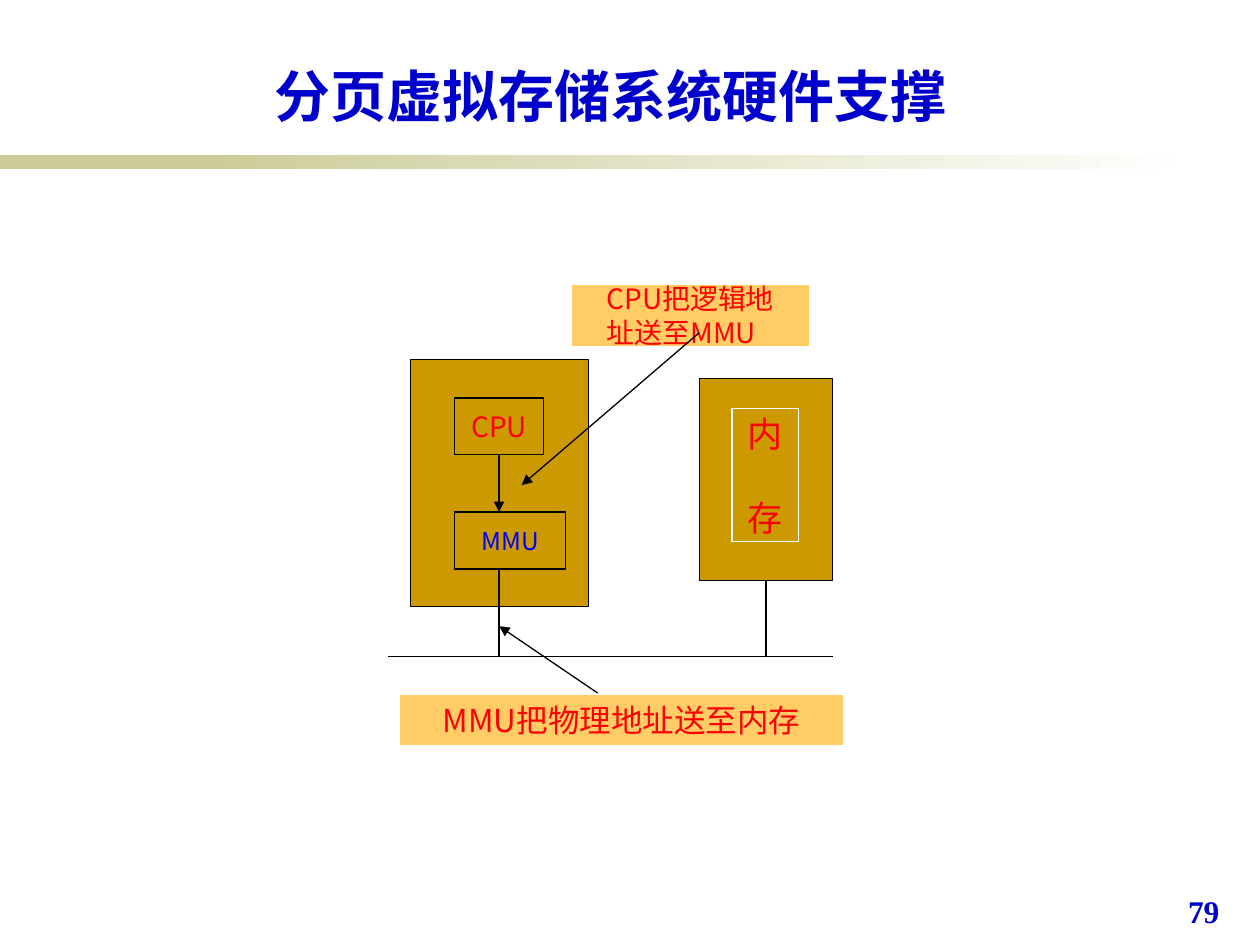
import pptx
import pptx.dml.color
import pptx.enum.dml
import pptx.enum.shapes
import pptx.enum.text
import pptx.oxml.ns
import pptx.util
import lxml.etree
from dataclasses import dataclass

Pt = pptx.util.Pt
RGB = pptx.dml.color.RGBColor.from_string
ALIGN = pptx.enum.text.PP_ALIGN
ANCHOR = pptx.enum.text.MSO_ANCHOR
RECT = pptx.enum.shapes.MSO_SHAPE.RECTANGLE
STRAIGHT = pptx.enum.shapes.MSO_CONNECTOR.STRAIGHT
qn = pptx.oxml.ns.qn


@dataclass(frozen=True)
class Theme:
    cjk: str = "Noto Sans CJK JP"
    latin: str = "Times New Roman"
    navy: str = "0000CC"
    blue: str = "0000FF"
    red: str = "FF0000"
    black: str = "000000"
    white: str = "FFFFFF"
    ochre: str = "CC9900"
    amber: str = "FFCC66"
    olive: str = "CCCC99"
    title: int = 32
    memory: int = 20
    large: int = 18
    medium: int = 16
    small: int = 14


theme = Theme()


def write(shape, text, size, color, font=theme.cjk, bold=False, align=ALIGN.CENTER,
          anchor=ANCHOR.MIDDLE, wrap=False, left=7.2, inset=0, gap=0):
    """Fill a shape with one paragraph per line of text."""
    frame = shape.text_frame
    frame.word_wrap = wrap
    frame.vertical_anchor = anchor
    frame.margin_left, frame.margin_right = Pt(left), Pt(7.2)
    frame.margin_top = frame.margin_bottom = Pt(inset)
    frame.text = text
    for index, paragraph in enumerate(frame.paragraphs):
        paragraph.alignment = align
        paragraph.line_spacing = Pt(size * 1.2)
        paragraph.space_before = Pt(gap if index else 0)
        for run in paragraph.runs:
            run.font.name = font
            run.font.size = Pt(size)
            run.font.bold = bold
            run.font.color.rgb = RGB(color)
            east_asian = lxml.etree.Element(qn("a:ea"), typeface=font)
            run.font._element.find(qn("a:latin")).addnext(east_asian)


def connect(start, end, arrow=False):
    """Draw a thin black line between two points."""
    line = slide.shapes.add_connector(STRAIGHT, *(Pt(v) for v in start + end))
    line.line.color.rgb = RGB(theme.black)
    line.line.width = Pt(0.75)
    properties = line._element.spPr
    if arrow:
        lxml.etree.SubElement(properties.find(qn("a:ln")), qn("a:tailEnd"), type="triangle")
    lxml.etree.SubElement(properties, qn("a:effectLst"))
    return line


presentation = pptx.Presentation()
presentation.slide_width, presentation.slide_height = Pt(720), Pt(540)
slide = presentation.slides.add_slide(presentation.slide_layouts[5])

# Title
title = slide.shapes.title
title.left, title.top, title.width, title.height = Pt(59.4), Pt(31.7), Pt(579.6), Pt(45.4)
write(title, "分页虚拟存储系统硬件支撑", theme.title, theme.navy, bold=True,
      anchor=ANCHOR.BOTTOM, wrap=True, inset=3.6)

# Rectangles: left, top, width, height, fill, line
boxes = {
    "rule": (0, 88.6, 167.8, 7.9, theme.olive, None),
    "fade": (113.8, 88.6, 570.2, 7.9, None, None),
    "processor": (234.7, 205.4, 101.5, 141.1, theme.ochre, theme.black),
    "cpu": (259.9, 227.4, 50.6, 32.5, theme.ochre, theme.black),
    "mmu": (259.9, 292.6, 63.4, 32.6, theme.ochre, theme.black),
    "memory": (399.6, 216.4, 76.3, 115.2, theme.ochre, theme.black),
    "memory name": (418.3, 233.3, 38.2, 76.3, theme.ochre, theme.white),
    "logical note": (326.2, 162.3, 136.5, 36, theme.amber, theme.white),
    "physical note": (228.2, 396.5, 253.7, 29.5, theme.amber, theme.white),
}
parts = {}
for part, (left, top, width, height, fill, line) in boxes.items():
    box = slide.shapes.add_shape(RECT, Pt(left), Pt(top), Pt(width), Pt(height))
    box.shadow.inherit = False
    if fill:
        box.fill.solid()
        box.fill.fore_color.rgb = RGB(fill)
    else:
        box.fill.gradient()
        box.fill.gradient_angle = 0
        for stop, color in zip(box.fill.gradient_stops, (theme.olive, theme.white)):
            stop.color.rgb = RGB(color)
    if line:
        box.line.color.rgb = RGB(line)
        box.line.width = Pt(0.75)
    else:
        box.line.fill.background()
    parts[part] = box

# Labels
write(parts["cpu"], "CPU", theme.medium, theme.red)
write(parts["mmu"], "MMU", theme.small, theme.blue)
write(parts["memory name"], "内\n存", theme.memory, theme.red, align=ALIGN.JUSTIFY,
      left=9, gap=24)
write(parts["logical note"], "CPU把逻辑地\n址送至MMU", theme.medium, theme.red,
      align=ALIGN.JUSTIFY, left=20.4)
write(parts["physical note"], "MMU把物理地址送至内存", theme.large, theme.red,
      align=ALIGN.JUSTIFY, left=24.9)

# Bus and the links to it
cpu_x, memory_x, bus_y = 285.2, 437.75, 375
connect((221.8, bus_y), (475.9, bus_y))
connect((cpu_x, 259.9), (cpu_x, 292.6), arrow=True).begin_connect(parts["cpu"], 2)
connect((cpu_x, 325.2), (cpu_x, bus_y))
connect((memory_x, 331.6), (memory_x, bus_y)).begin_connect(parts["memory"], 2)

# Arrows from the notes
connect((399.6, 190.1), (298.1, 277.2), arrow=True)
connect((341.5, 396), (cpu_x, 357.8), arrow=True)

# Page number
page_number = slide.shapes.add_textbox(Pt(671.8), Pt(506.2), Pt(46.1), Pt(36))
write(page_number, "79", theme.large, theme.navy, font=theme.latin, bold=True,
      align=ALIGN.LEFT, anchor=ANCHOR.TOP, wrap=True, inset=3.6)

presentation.save("out.pptx")
